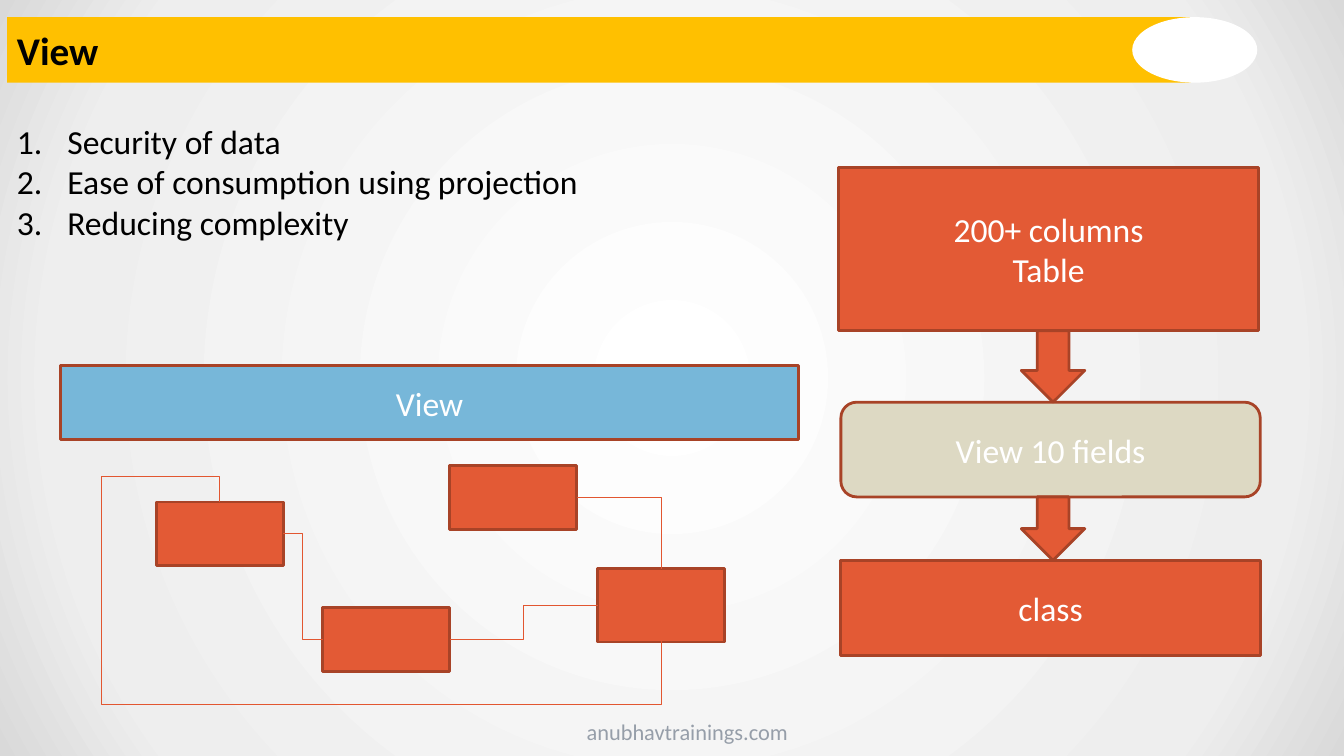
from lxml import etree
from pptx import Presentation
from pptx import util as u
from pptx.dml.color import RGBColor
from pptx.enum import shapes, text
from pptx.oxml import parse_xml
from pptx.oxml.ns import nsdecls, qn

COLORS = {
    "bar": "FFC000", "white": "FFFFFF", "black": "000000", "footer": "969EA9",
    "orange": "E35A35", "outline": "A84327", "link": "E25630",
    "sand": "DDD9C3", "blue": "77B7D9",
}
BACKDROP = {0: "FFFFFF", 81000: "EEEEEE", 100000: "D9D9D9"}
FONT = "Calibri"
TOP, LEFT, BOTTOM, RIGHT = range(4)
KIND = shapes.MSO_SHAPE


def color(name):
    return RGBColor.from_string(COLORS[name])


def write(frame, lines, size, tint, align=text.PP_ALIGN.LEFT, bold=False, numbered=False):
    frame.word_wrap = True
    for index, line in enumerate(lines):
        para = frame.paragraphs[0] if index == 0 else frame.add_paragraph()
        para.text = line
        para.alignment = align
        if numbered:
            props = para._p.get_or_add_pPr()
            props.set("marL", str(u.Inches(0.5)))
            props.set("indent", str(u.Inches(-0.5)))
            etree.SubElement(props, qn("a:buFont"), typeface="+mj-lt")
            etree.SubElement(props, qn("a:buAutoNum"), type="arabicPeriod")
        para.font.name = FONT
        para.font.size = u.Pt(size)
        para.font.bold = bold
        para.font.color.rgb = color(tint)


def add_label(page, box, lines, size, tint, numbered=False):
    label = page.shapes.add_textbox(*map(u.Inches, box))
    write(label.text_frame, lines, size, tint, numbered=numbered)


def add_block(page, box, fill="orange", lines=(), kind=KIND.RECTANGLE, outlined=True):
    block = page.shapes.add_shape(kind, *map(u.Inches, box))
    block.shadow.inherit = False
    block.fill.solid()
    block.fill.fore_color.rgb = color(fill)
    if outlined:
        block.line.color.rgb = color("outline")
        block.line.width = u.Pt(2)
    else:
        block.line.fill.background()
    block.text_frame.vertical_anchor = text.MSO_ANCHOR.MIDDLE
    write(block.text_frame, lines, 24, "white", text.PP_ALIGN.CENTER)
    return block


def add_link(page, start, start_site, end, end_site, preset="bentConnector3"):
    link = page.shapes.add_connector(shapes.MSO_CONNECTOR.ELBOW, 0, 0, 0, 0)
    link.begin_connect(start, start_site)
    link.end_connect(end, end_site)
    link.line.color.rgb = color("link")
    link.line.width = u.Pt(0.75)
    props = link._element.spPr
    props.find(qn("a:prstGeom")).set("prst", preset)
    etree.SubElement(props, qn("a:effectLst"))
    return link


def route_around(link, box, adjustments):
    link.left, link.top, link.width, link.height = map(u.Inches, box)
    props = link._element.spPr
    frame = props.find(qn("a:xfrm"))
    frame.set("rot", "16200000")
    frame.set("flipH", "1")
    guides = props.find(qn("a:prstGeom")).find(qn("a:avLst"))
    for number, value in enumerate(adjustments, 1):
        etree.SubElement(guides, qn("a:gd"), name=f"adj{number}", fmla=f"val {value}")


def paint_background(page):
    stops = "".join(
        f'<a:gs pos="{place}"><a:srgbClr val="{tint}"/></a:gs>'
        for place, tint in BACKDROP.items()
    )
    page._element.cSld.insert(0, parse_xml(
        f'<p:bg {nsdecls("p", "a")}><p:bgPr><a:gradFill rotWithShape="1">'
        f'<a:gsLst>{stops}</a:gsLst><a:path path="circle">'
        '<a:fillToRect l="50000" t="50000" r="50000" b="50000"/></a:path>'
        '</a:gradFill><a:effectLst/></p:bgPr></p:bg>'
    ))


def add_header(page, left, top, width, height):
    bar = add_block(page, (left, top, width, height), "bar", outlined=False)
    write(bar.text_frame, ["View"], 28, "black", bold=True)
    add_block(page, (left + 11.16, top, 1.24, height), "white",
              kind=KIND.OVAL, outlined=False)


def add_projection(page, left, top, width):
    step = 0.94
    view_top, class_top = top + 2.33, top + 3.9
    add_block(page, (left, top, width, 1.62), lines=["200+ columns", "Table"])
    add_block(page, (left + 0.02, class_top, width, step), lines=["class"])
    add_block(page, (left + 0.02, view_top, width, step), "sand",
              ["View 10 fields"], KIND.ROUNDED_RECTANGLE)
    for start, end in ((top + 1.62, view_top), (view_top + step, class_top)):
        add_block(page, (left + 1.81, start, 0.63, end - start), kind=KIND.DOWN_ARROW)


def add_joined_tables(page, left, top, width):
    places = {
        "first": (0.95, 1.35, 0.63), "second": (2.6, 2.4, 0.63),
        "third": (3.86, 0.99, 0.63), "fourth": (5.33, 2.01, 0.73),
    }
    tables = {
        name: add_block(page, (left + across, top + down, 1.26, height))
        for name, (across, down, height) in places.items()
    }
    add_link(page, tables["second"], RIGHT, tables["fourth"], LEFT)
    add_link(page, tables["third"], RIGHT, tables["fourth"], TOP, "bentConnector2")
    add_link(page, tables["first"], RIGHT, tables["second"], LEFT)
    loop = add_link(page, tables["first"], TOP, tables["fourth"], BOTTOM, "bentConnector5")
    route_around(loop, (left + 3.08, top - 0.15, 1.38, 4.38), (-18100, -26800, 145700))
    add_block(page, (left, top, width, 0.73), "blue", ["View"])


def main():
    deck = Presentation()
    deck.slide_width, deck.slide_height = u.Inches(13.33), u.Inches(7.5)
    page = deck.slides.add_slide(deck.slide_layouts[6])
    paint_background(page)
    add_header(page, 0.07, 0.17, 11.74, 0.65)
    add_label(page, (5.72, 7.08, 3.31, 0.37), ["anubhavtrainings.com"], 16, "footer")
    add_label(page, (0.07, 1.15, 12.97, 1.31),
              ["Security of data", "Ease of consumption using projection",
               "Reducing complexity"], 24, "black", numbered=True)
    add_projection(page, 8.32, 1.66, 4.16)
    add_joined_tables(page, 0.6, 3.63, 7.32)
    deck.save("out.pptx")


if __name__ == "__main__":
    main()
